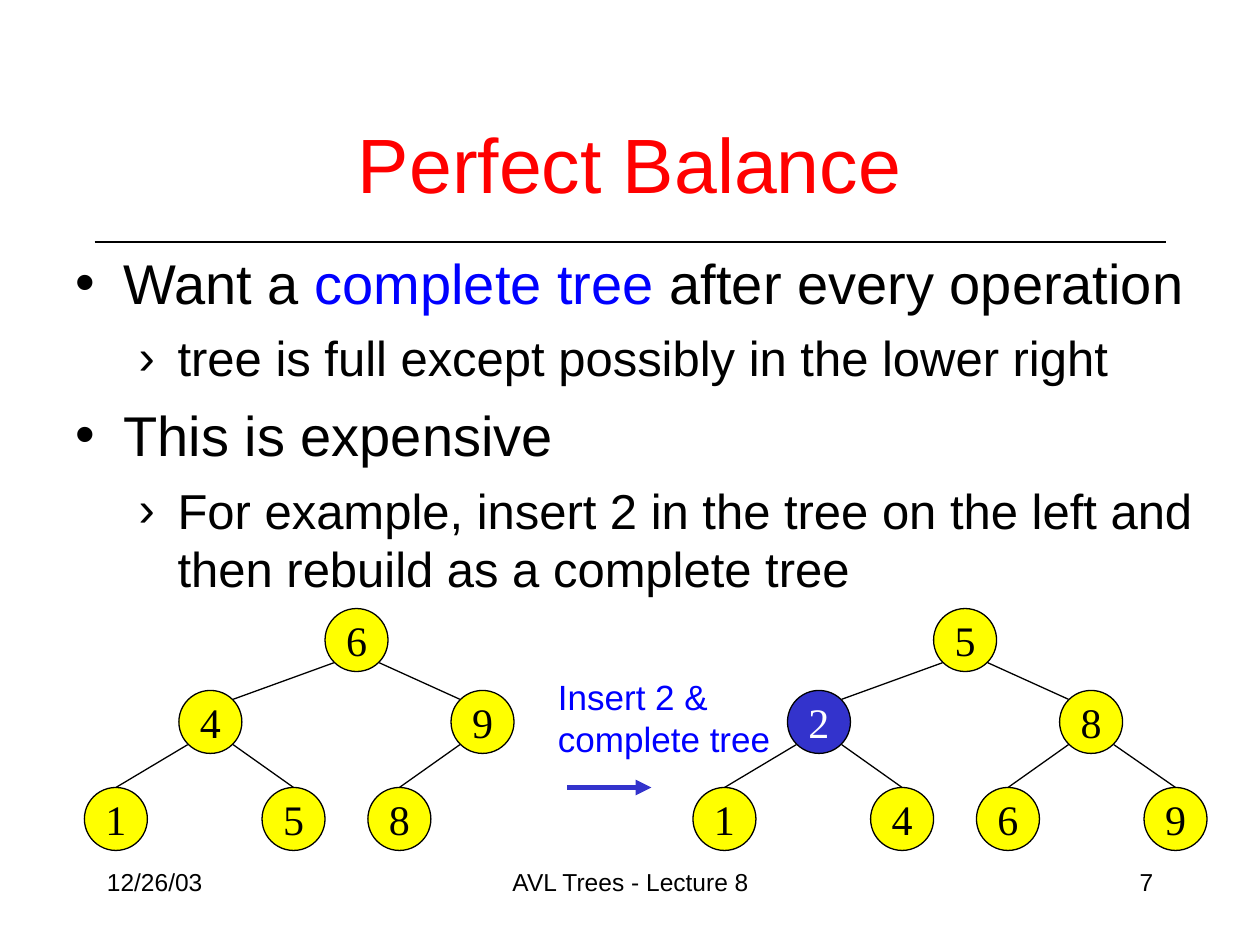
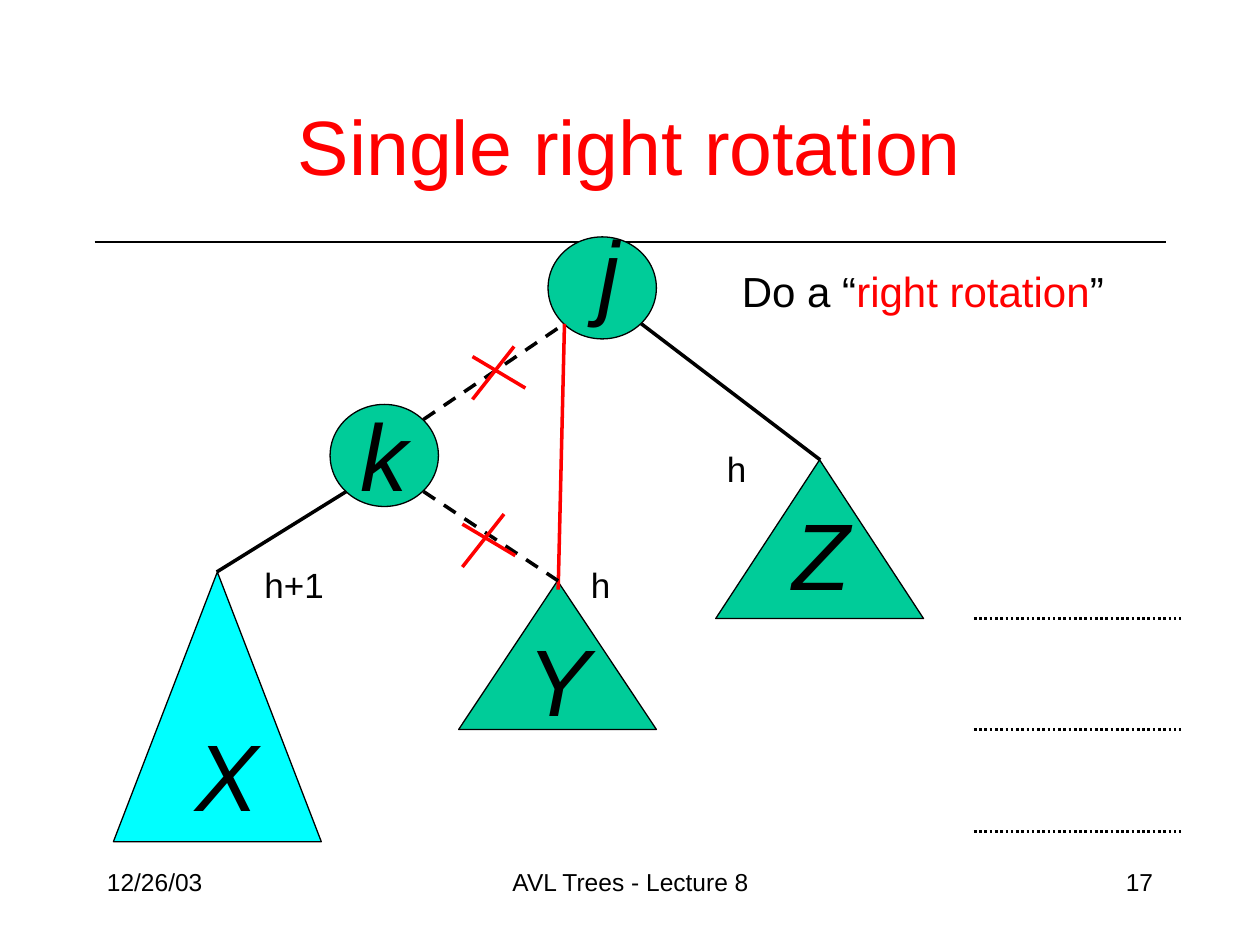
import pptx
import pptx.util
import pptx.dml.color
import pptx.enum.dml
import pptx.enum.shapes
import pptx.enum.text
import pptx.oxml.ns
import lxml.etree

PX = 9144  # EMU in one px, 100 px to the inch
INK = {
    "black": "000000", "white": "FFFFFF", "red": "FF0000", "blue": "0000FF",
    "navy": "3333CC", "yellow": "FFFF00", "green": "00CC99", "cyan": "00FFFF",
}
SANS, SERIF = "Arial", "Times New Roman"
SHAPE = pptx.enum.shapes.MSO_SHAPE
ALIGN = pptx.enum.text.PP_ALIGN
ANCHOR = pptx.enum.text.MSO_ANCHOR
FIT = pptx.enum.text.MSO_AUTO_SIZE
DASH = pptx.enum.dml.MSO_LINE
NODE = 50   # diameter of a tree node
DIAG = 18   # offset of its rim at 45 degrees
SPOTS = [(283, 508), (167, 573), (383, 573),
         (92, 650), (233, 650), (317, 650), (450, 650)]


def px(*nums):
    return [n * PX for n in nums]


def rgb(name):
    return pptx.dml.color.RGBColor.from_string(INK[name])


def sub(parent, tag, **attrs):
    return lxml.etree.SubElement(parent, pptx.oxml.ns.qn(tag), **attrs)


def style(par, parts, size, ink="black", face=SANS, align=None, slant=None):
    """Fill a paragraph with (text, colour) parts, or with one plain text."""
    par.alignment = align
    font = par.font
    font.size, font.name, font.italic = pptx.util.Pt(size), face, slant
    font.color.rgb = rgb(ink)
    for text, tint in [(parts, ink)] if isinstance(parts, str) else parts:
        run = par.add_run()
        run.text = text
        if tint != ink:
            run.font.color.rgb = rgb(tint)


def label(slide, box, lines, size, ink="black", wrap=False, **look):
    frame = slide.shapes.add_textbox(*px(*box)).text_frame
    frame.word_wrap = wrap
    for i, parts in enumerate(lines):
        par = frame.add_paragraph() if i else frame.paragraphs[0]
        style(par, parts, size, ink, **look)


def shape(slide, kind, box, fill):
    item = slide.shapes.add_shape(kind, *px(*box))
    item.shadow.inherit = False
    item.fill.solid()
    item.fill.fore_color.rgb = rgb(fill)
    item.line.color.rgb = rgb("black")
    item.line.width = pptx.util.Pt(0.75)
    return item


def line(slide, start, end, ink="black", width=0.75, dash=None, arrow=False):
    item = slide.shapes.add_connector(
        pptx.enum.shapes.MSO_CONNECTOR.STRAIGHT, *px(*start, *end))
    item.line.color.rgb = rgb(ink)
    item.line.width = pptx.util.Pt(width)
    if dash:
        item.line.dash_style = dash
    if arrow:
        sub(item.get_or_add_ln(), "a:tailEnd", type="triangle")
    sub(item._element.spPr, "a:effectLst")


def place(holder, box, anchor):
    holder.left, holder.top, holder.width, holder.height = px(*box)
    frame = holder.text_frame
    frame.auto_size = FIT.NONE
    frame.vertical_anchor = anchor
    return frame


def page(deck, layout, title, box, number):
    """Add a slide with its title, rule and footers."""
    slide = deck.slides.add_slide(deck.slide_layouts[layout])
    line(slide, (75, 192), (925, 192))
    for left, width, text, align in [
            (75, 208, "12/26/03", ALIGN.LEFT),
            (342, 317, "AVL Trees - Lecture 8", ALIGN.CENTER),
            (717, 208, number, ALIGN.RIGHT)]:
        label(slide, (left, 683, width, 50), [text], 14, wrap=True, align=align)
    frame = place(slide.shapes.title, box, ANCHOR.MIDDLE)
    style(frame.paragraphs[0], title, 44, "red", align=ALIGN.CENTER)
    return slide


def bullets(slide, box, items):
    frame = place(slide.placeholders[1], box, ANCHOR.TOP)
    looks = [("•", 38, -38, 32, 8), ("›", 81, -31, 28, 7)]
    for i, (level, parts) in enumerate(items):
        mark, margin, indent, size, gap = looks[level]
        par = frame.add_paragraph() if i else frame.paragraphs[0]
        par.level = level
        props = par._p.get_or_add_pPr()
        props.set("marL", str(margin * PX))
        props.set("indent", str(indent * PX))
        sub(props, "a:buChar", char=mark)
        par.space_before = pptx.util.Pt(gap)
        style(par, parts, size)


def node(slide, x, y, text, hot):
    item = shape(slide, SHAPE.OVAL,
                 (x - NODE // 2, y - NODE // 2, NODE, NODE),
                 "navy" if hot else "yellow")
    frame = item.text_frame
    frame.word_wrap = False
    frame.vertical_anchor = ANCHOR.MIDDLE
    style(frame.paragraphs[0], text, 24, "white" if hot else "black",
          SERIF, ALIGN.CENTER)


def tree(slide, shift, keys, hot=None):
    """Draw keys given in level order; the children of i are 2i+1 and 2i+2."""
    spots = [(x + shift, y) for x, y in SPOTS]
    for key, (x, y) in zip(keys, spots):
        node(slide, x, y, key, key == hot)
    for i in range(1, len(keys)):
        (x, y), (top_x, top_y) = spots[i], spots[(i - 1) // 2]
        side = -1 if i % 2 else 1
        end = (x - side * DIAG, y - DIAG) if i < 3 else (x, y - NODE // 2)
        line(slide, (top_x + side * DIAG, top_y + DIAG), end)


def cross(slide, x, y):
    line(slide, (x, y + 8), (x + 42, y + 33), "red", 2)
    line(slide, (x + 33, y), (x, y + 42), "red", 2)


def balance(deck):
    slide = page(deck, 1, "Perfect Balance", (75, 67, 850, 125), "7")
    bullets(slide, (50, 192, 925, 300), [
        (0, [("Want a ", "black"), ("complete tree", "blue"),
             (" after every operation", "black")]),
        (1, "tree is full except possibly in the lower right"),
        (0, "This is expensive"),
        (1, "For example, insert 2 in the tree on the left and "
            "then rebuild as a complete tree"),
    ])
    label(slide, (433, 531, 200, 77), ["Insert 2 &", "complete tree"], 20, "blue")
    tree(slide, 0, "649158")
    tree(slide, 483, "5281469", hot="2")
    line(slide, (450, 625), (517, 625), "navy", 3, arrow=True)


def rotate(deck):
    slide = page(deck, 5, "Single right rotation", (73, 71, 854, 88), "17")
    for kind, box, fill, name, x, y in [
            (SHAPE.OVAL, (435, 188, 86, 81), "green", "j", 465, 165),
            (SHAPE.OVAL, (262, 321, 86, 81), "green", "k", 276, 310),
            (SHAPE.ISOSCELES_TRIANGLE, (90, 454, 165, 214), "cyan", "X", 145, 564),
            (SHAPE.ISOSCELES_TRIANGLE, (364, 461, 157, 118), "green", "Y", 409, 489),
            (SHAPE.ISOSCELES_TRIANGLE, (568, 365, 165, 126), "green", "Z", 619, 389)]:
        shape(slide, kind, box, fill)
        label(slide, (x, y, 53, 100), [name], 54, wrap=True, slant=True)
    for start, end, ink, dash in [
            ((275, 390), (172, 454), "black", None),
            ((509, 257), (651, 365), "black", None),
            ((448, 257), (443, 468), "red", None),
            ((336, 333), (448, 257), "black", DASH.DASH),
            ((336, 390), (443, 461), "black", DASH.DASH)]:
        line(slide, start, end, ink, 2, dash)
    cross(slide, 375, 275)
    cross(slide, 367, 408)
    for y in (491, 579, 660):
        line(slide, (773, y), (937, y), width=1.5, dash=DASH.ROUND_DOT)
    label(slide, (579, 206, 320, 50),
          [[("Do a “", "black"), ("right rotation", "red"), ("”", "black")]], 24)
    for x, y, width, text in [(567, 350, 35, "h"), (200, 442, 67, "h+1"),
                              (459, 442, 35, "h")]:
        label(slide, (x, y, width, 44), [text], 20)


def main():
    deck = pptx.Presentation()
    deck.slide_width, deck.slide_height = px(1000, 750)
    balance(deck)
    rotate(deck)
    deck.save("out.pptx")


if __name__ == "__main__":
    main()
